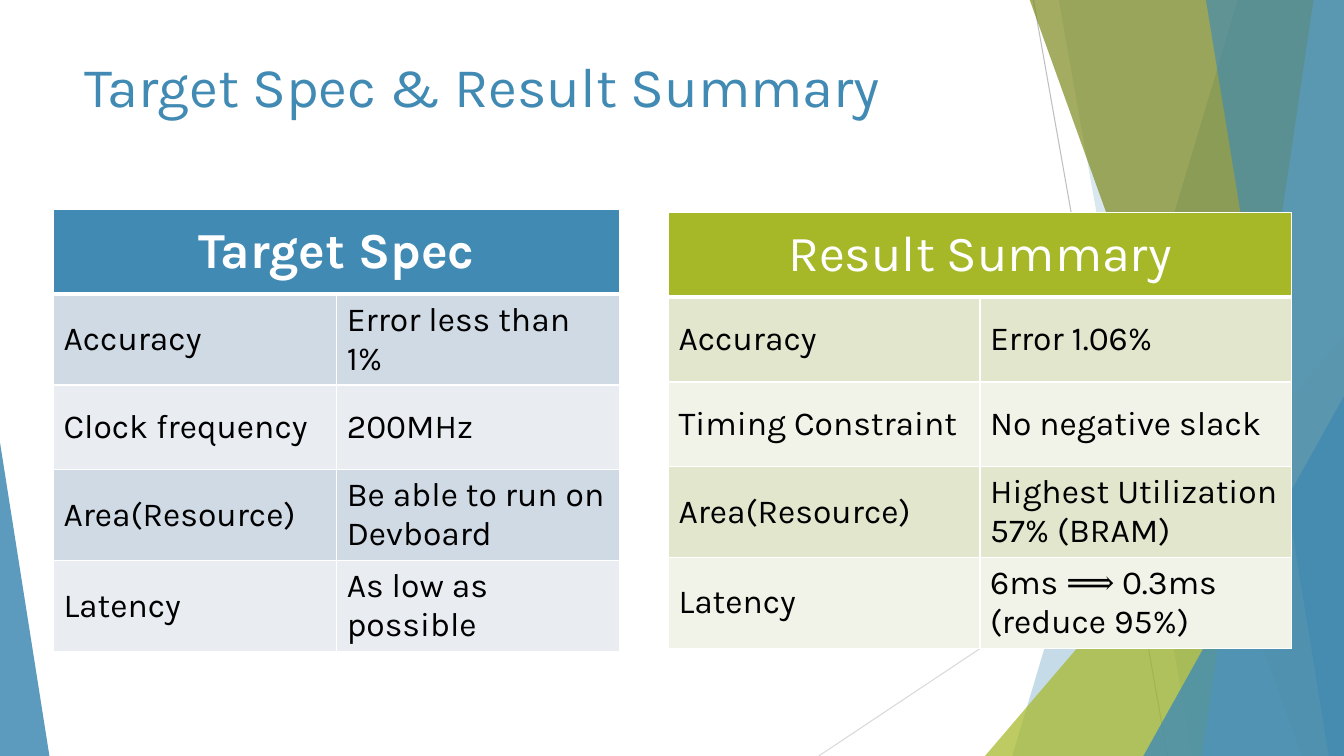
"""Build the target spec and result summary slide."""
from dataclasses import dataclass

from lxml.etree import SubElement
from pptx import Presentation
from pptx.dml.color import RGBColor
from pptx.enum.shapes import MSO_CONNECTOR as CONN, MSO_SHAPE as SHAPE
from pptx.enum.text import MSO_ANCHOR as ANCHOR, PP_ALIGN as ALIGN
from pptx.oxml import parse_xml
from pptx.oxml.ns import nsdecls, qn
from pptx.util import Pt

PX = 9144
WIDTH, HEIGHT = 1333, 750
ROW_H = 84
ARROW = "⟹ "
COLORS = {
    "blue": "418AB3", "sky": "8ABAD4", "green": "A6B727", "olive": "7D891D",
    "white": "FFFFFF", "black": "000000", "gray": "BFBFBF", "silver": "D9D9D9",
    "blue_dark": "CFDAE5", "blue_light": "E9EDF2",
    "green_dark": "E1E6CD", "green_light": "F1F3E8",
}


@dataclass
class Line:
    x1: int
    y1: int
    x2: int
    y2: int
    color: str


@dataclass
class Shard:
    top_x: int
    bottom_x: int
    color: str
    alpha: int


@dataclass
class Triangle:
    x: int
    y: int
    w: int
    h: int
    apex: int
    color: str
    alpha: int


@dataclass
class Panel:
    x: int
    y: int
    col_w: int
    title: str
    bold: bool
    color: str
    rows: list[tuple[str, str]]


DECOR = [
    Line(1025, 0, 1158, 750, "gray"),
    Line(1333, 403, 812, 750, "silver"),
    Shard(1228, 1004, "blue", 30),
    Shard(1050, 1183, "blue", 20),
    Triangle(977, 333, 356, 417, 1, "green", 72),
    Shard(1021, 1291, "olive", 70),
    Shard(1303, 1192, "sky", 70),
    Shard(1196, 1318, "blue", 65),
    Triangle(1134, 393, 199, 357, 1, "blue", 80),
    Triangle(0, 439, 49, 311, 0, "blue", 85),
]
PANELS = [
    Panel(53, 208, 281, "Target Spec", True, "blue", [
        ("Accuracy", "Error less than 1%"),
        ("Clock frequency", "200MHz"),
        ("Area(Resource)", "Be able to run on Devboard"),
        ("Latency", "As low as possible"),
    ]),
    Panel(663, 211, 309, "Result Summary", False, "green", [
        ("Accuracy", "Error 1.06%"),
        ("Timing Constraint", "No negative slack"),
        ("Area(Resource)", "Highest Utilization\n57% (BRAM)"),
        ("Latency", "6ms ⟹ 0.3ms\n(reduce 95%)"),
    ]),
]


def rgb(name: str) -> RGBColor:
    return RGBColor.from_string(COLORS[name])


def write(tf, text: str, *, size: int, color: str, bold: bool = False,
          align=ALIGN.LEFT) -> None:
    for i, line in enumerate(text.split("\n")):
        p = tf.paragraphs[0] if i == 0 else tf.add_paragraph()
        p.alignment = align
        for part in filter(None, line.partition(ARROW)):
            r = p.add_run()
            r.text = part
            r.font.name = "Cambria" if part == ARROW else "Karla"
            r.font.size = Pt(size)
            r.font.bold = bold
            r.font.color.rgb = rgb(color)


def paint(sp, color: str, alpha: int) -> None:
    sp.shadow.inherit = False
    sp.line.fill.background()
    sp.fill.solid()
    sp.fill.fore_color.rgb = rgb(color)
    clr = sp.fill._xPr.find(qn("a:solidFill"))[0]
    SubElement(clr, qn("a:alpha"), val=str(alpha * 1000))


def draw_line(s, line: Line) -> None:
    ends = (v * PX for v in (line.x1, line.y1, line.x2, line.y2))
    cx = s.shapes.add_connector(CONN.STRAIGHT, *ends)
    cx.line.color.rgb = rgb(line.color)
    cx.line.width = Pt(0.75)
    SubElement(cx._element.spPr, qn("a:effectLst"))


def draw_shard(s, shard: Shard) -> None:
    fb = s.shapes.build_freeform(shard.top_x, -1, scale=PX)
    fb.add_line_segments([(WIDTH, -1), (WIDTH, HEIGHT), (shard.bottom_x, HEIGHT)])
    paint(fb.convert_to_shape(), shard.color, shard.alpha)


def draw_triangle(s, tri: Triangle) -> None:
    box = (v * PX for v in (tri.x, tri.y, tri.w, tri.h))
    sp = s.shapes.add_shape(SHAPE.ISOSCELES_TRIANGLE, *box)
    sp.adjustments[0] = tri.apex
    paint(sp, tri.color, tri.alpha)


def style_cell(cell, fill: str, top: int, bottom: int) -> None:
    tc_pr = cell._tc.get_or_add_tcPr()
    for side, width in (("L", 1), ("R", 1), ("T", top), ("B", bottom)):
        tc_pr.append(parse_xml(
            f'<a:ln{side} {nsdecls("a")} w="{Pt(width)}"><a:solidFill>'
            f'<a:srgbClr val="{COLORS["white"]}"/></a:solidFill></a:ln{side}>'))
    cell.fill.solid()
    cell.fill.fore_color.rgb = rgb(fill)
    cell.vertical_anchor = ANCHOR.MIDDLE


def draw_panel(s, panel: Panel) -> None:
    n = len(panel.rows) + 1
    box = (v * PX for v in (panel.x, panel.y, 2 * panel.col_w, n * ROW_H))
    table = s.shapes.add_table(n, 2, *box).table
    for i, texts in enumerate([(panel.title, ""), *panel.rows]):
        shade = f"{panel.color}_{'dark' if i % 2 else 'light'}" if i else panel.color
        for j, text in enumerate(texts):
            cell = table.cell(i, j)
            style_cell(cell, shade, 3 if i == 1 else 1, 1 if i else 3)
            if i:
                write(cell.text_frame, text, size=24, color="black")
    head = table.cell(0, 0)
    head.merge(table.cell(0, 1))
    write(head.text_frame, panel.title, size=36, color="white",
          bold=panel.bold, align=ALIGN.CENTER)


def main() -> None:
    prs = Presentation()
    prs.slide_width, prs.slide_height = WIDTH * PX, HEIGHT * PX
    s = prs.slides.add_slide(prs.slide_layouts[6])
    draw = {Line: draw_line, Shard: draw_shard, Triangle: draw_triangle}
    for item in DECOR:
        draw[type(item)](s, item)
    title = s.shapes.add_textbox(*(v * PX for v in (74, 46, 940, 144)))
    title.text_frame.word_wrap = True
    write(title.text_frame, "Target Spec & Result Summary", size=40, color="blue")
    for panel in PANELS:
        draw_panel(s, panel)
    prs.save("out.pptx")


if __name__ == "__main__":
    main()
